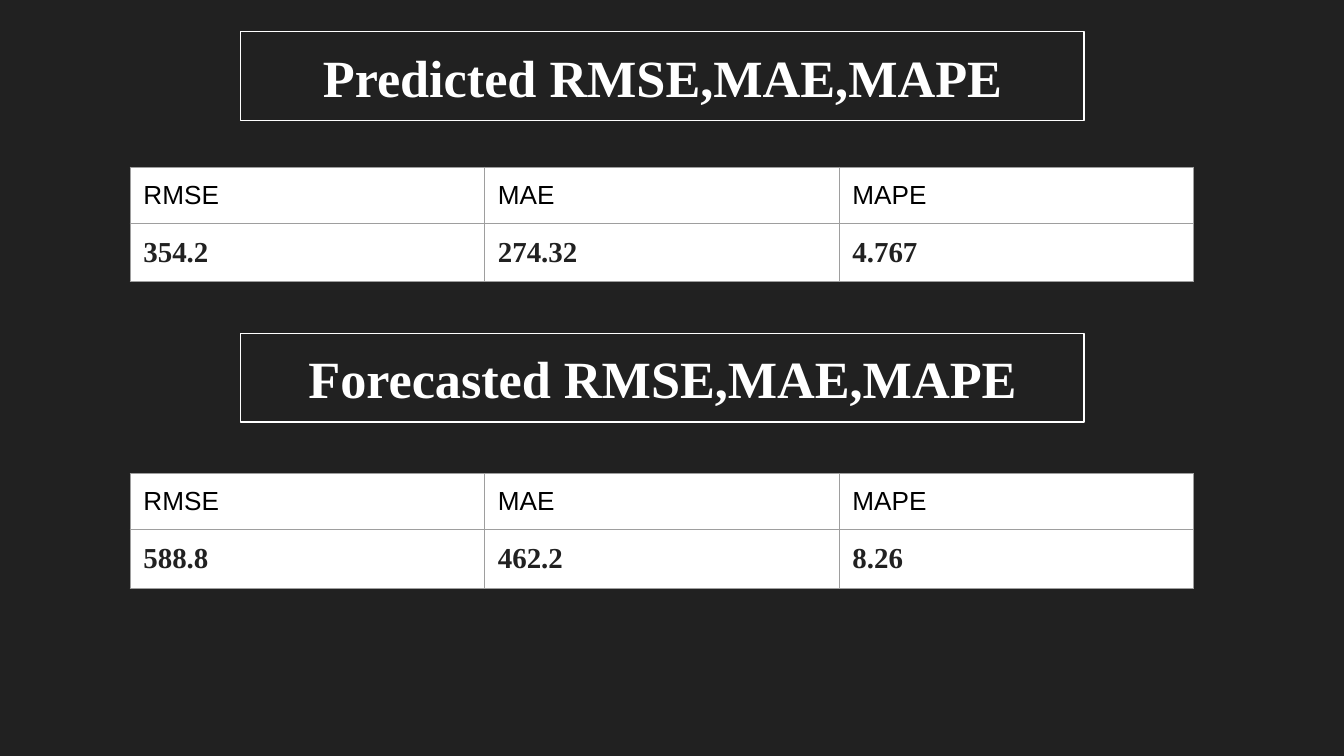
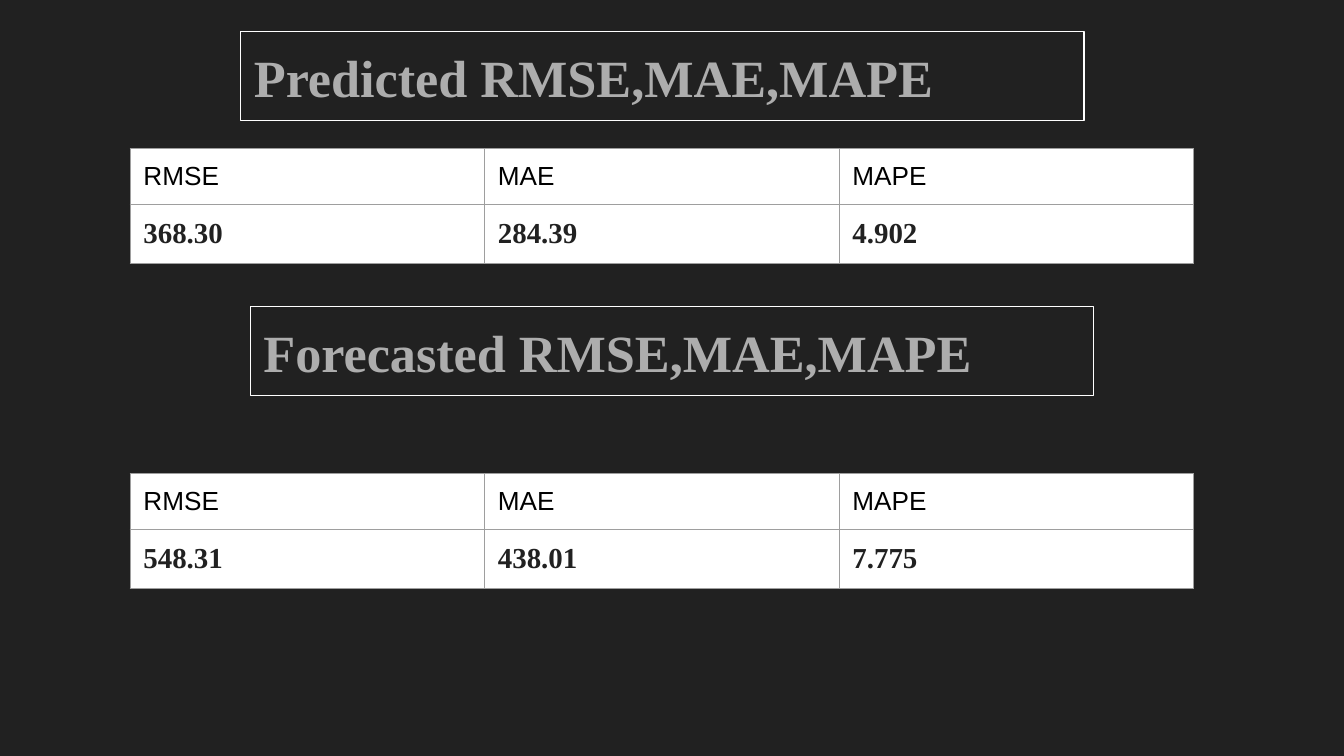
from dataclasses import dataclass

import lxml.etree
import pptx
import pptx.dml.color
import pptx.dml.fill
import pptx.enum.shapes
import pptx.enum.text
import pptx.oxml.ns
import pptx.presentation
import pptx.slide
import pptx.table
import pptx.text.text
import pptx.util
from pptx.util import Cm

DARK = "212121"
WHITE = "FFFFFF"
GREY = "ADADAD"
BLACK = "000000"
BORDER = "9E9E9E"
BORDER_WIDTH = pptx.util.Pt(0.75)
INSET = Cm(0.25)
HEADING_SIZE = (Cm(15.94), Cm(1.68))
TABLE_LEFT = Cm(2.46)
COLUMN_WIDTH = Cm(6.7)
ROW_HEIGHT = Cm(1.06)
METRICS = ("RMSE", "MAE", "MAPE")

HEADING_FONT = {"name": "Times New Roman", "size": pptx.util.Pt(28), "bold": True}
LABEL_FONT = {"name": "Arial", "size": pptx.util.Pt(14)}
VALUE_FONT = {"name": "Times New Roman", "size": pptx.util.Pt(15.5), "bold": True}
INSETS = {f"margin_{side}": INSET for side in ("left", "top", "right", "bottom")}

CENTER = pptx.enum.text.PP_ALIGN.CENTER
LEFT = pptx.enum.text.PP_ALIGN.LEFT


@dataclass(frozen=True)
class ErrorSection:
    heading: str
    heading_left: pptx.util.Length
    heading_top: pptx.util.Length
    table_top: pptx.util.Length
    values: tuple[str, str, str]


@dataclass(frozen=True)
class ErrorSlide:
    heading_color: str
    heading_alignment: pptx.enum.text.PP_ALIGN
    sections: tuple[ErrorSection, ...]


PREDICTED = "Predicted RMSE,MAE,MAPE"
FORECASTED = "Forecasted RMSE,MAE,MAPE"

SLIDES = (
    ErrorSlide(WHITE, CENTER, (
        ErrorSection(PREDICTED, Cm(4.55), Cm(0.6), Cm(3.16),
                     ("354.2", "274.32", "4.767")),
        ErrorSection(FORECASTED, Cm(4.55), Cm(6.3), Cm(8.95),
                     ("588.8", "462.2", "8.26")),
    )),
    ErrorSlide(GREY, LEFT, (
        ErrorSection(PREDICTED, Cm(4.55), Cm(0.6), Cm(2.81),
                     ("368.30", "284.39", "4.902")),
        ErrorSection(FORECASTED, Cm(4.73), Cm(5.8), Cm(8.95),
                     ("548.31", "438.01", "7.775")),
    )),
)


def set_attributes(target: object, values: dict) -> None:
    for name, value in values.items():
        setattr(target, name, value)


def rgb(color: str) -> pptx.dml.color.RGBColor:
    return pptx.dml.color.RGBColor.from_string(color)


def fill_solid(fill: pptx.dml.fill.FillFormat, color: str) -> None:
    fill.solid()
    fill.fore_color.rgb = rgb(color)


def add_color(parent: lxml.etree._Element, tag: str, color: str) -> lxml.etree._Element:
    """Append a DrawingML element that holds one RGB colour."""
    element = lxml.etree.SubElement(parent, pptx.oxml.ns.qn(tag))
    lxml.etree.SubElement(element, pptx.oxml.ns.qn("a:srgbClr"), val=color)
    return element


def write_text(frame: pptx.text.text.TextFrame, text: str, font: dict,
               color: str) -> pptx.text.text._Run:
    run = frame.paragraphs[0].add_run()
    run.text = text
    set_attributes(run.font, font)
    run.font.color.rgb = rgb(color)
    return run


def highlight(run: pptx.text.text._Run, color: str) -> None:
    properties = run._r.get_or_add_rPr()
    element = add_color(properties, "a:highlight", color)
    properties.find(pptx.oxml.ns.qn("a:solidFill")).addnext(element)


def add_heading(slide: pptx.slide.Slide, section: ErrorSection, color: str,
                alignment: pptx.enum.text.PP_ALIGN) -> None:
    shape = slide.shapes.add_shape(
        pptx.enum.shapes.MSO_SHAPE.RECTANGLE,
        section.heading_left, section.heading_top, *HEADING_SIZE)
    shape.shadow.inherit = False
    fill_solid(shape.fill, DARK)
    fill_solid(shape.line.fill, WHITE)
    shape.line.width = BORDER_WIDTH
    frame = shape.text_frame
    set_attributes(frame, INSETS | {
        "word_wrap": True, "vertical_anchor": pptx.enum.text.MSO_ANCHOR.MIDDLE})
    write_text(frame, section.heading, HEADING_FONT, color)
    frame.paragraphs[0].alignment = alignment


def add_borders(cell: pptx.table._Cell) -> None:
    """Outline all four sides; must run before the cell fill is set."""
    properties = cell._tc.get_or_add_tcPr()
    for side in ("L", "R", "T", "B"):
        line = lxml.etree.SubElement(properties, pptx.oxml.ns.qn(f"a:ln{side}"),
                                     w=str(int(BORDER_WIDTH)))
        add_color(line, "a:solidFill", BORDER)


def add_error_table(slide: pptx.slide.Slide, section: ErrorSection) -> None:
    rows = ((METRICS, LABEL_FONT, BLACK), (section.values, VALUE_FONT, DARK))
    table = slide.shapes.add_table(
        len(rows), len(METRICS), TABLE_LEFT, section.table_top,
        COLUMN_WIDTH * len(METRICS), ROW_HEIGHT * len(rows)).table
    set_attributes(table, {"first_row": False, "horz_banding": False})
    for row_index, (texts, font, color) in enumerate(rows):
        for column_index, text in enumerate(texts):
            cell = table.cell(row_index, column_index)
            set_attributes(cell, INSETS)
            add_borders(cell)
            fill_solid(cell.fill, WHITE)
            run = write_text(cell.text_frame, text, font, color)
            if font is VALUE_FONT:
                highlight(run, WHITE)


def add_error_slide(presentation: pptx.presentation.Presentation,
                    content: ErrorSlide) -> None:
    slide = presentation.slides.add_slide(presentation.slide_layouts[6])
    fill_solid(slide.background.fill, DARK)
    for section in content.sections:
        add_heading(slide, section, content.heading_color, content.heading_alignment)
        add_error_table(slide, section)


def main() -> None:
    presentation = pptx.Presentation()
    set_attributes(presentation, {"slide_width": Cm(25.4), "slide_height": Cm(14.29)})
    for content in SLIDES:
        add_error_slide(presentation, content)
    presentation.save("out.pptx")


if __name__ == "__main__":
    main()
